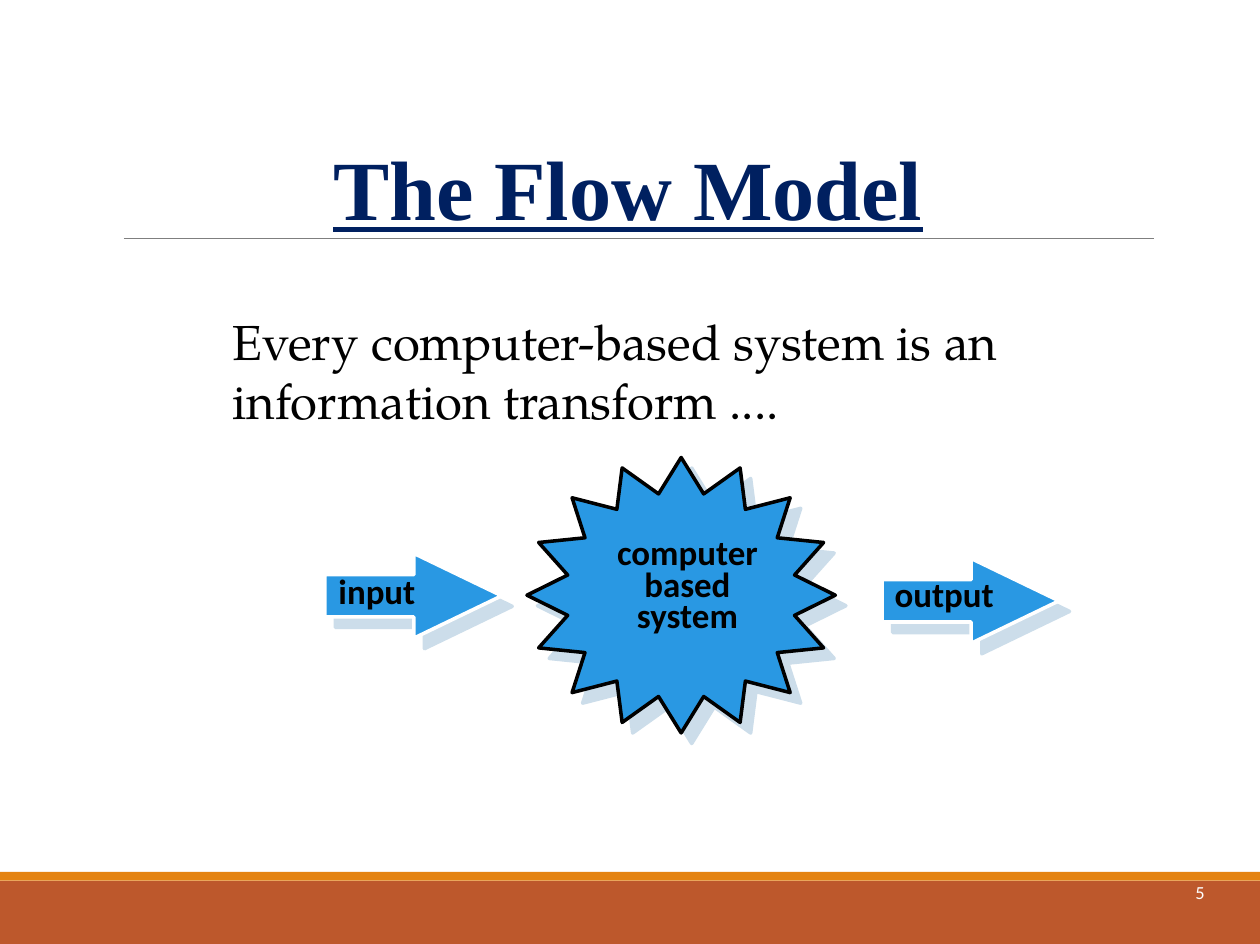
from lxml import etree
from pptx import Presentation
from pptx.dml.color import RGBColor
from pptx.enum.shapes import MSO_CONNECTOR, MSO_SHAPE
from pptx.enum.text import MSO_ANCHOR, MSO_AUTO_SIZE, PP_ALIGN
from pptx.oxml.ns import qn
from pptx.util import Emu, Pt

PX = 9144  # 100 px to the inch
LEFT, CENTER, RIGHT = PP_ALIGN.LEFT, PP_ALIGN.CENTER, PP_ALIGN.RIGHT
TOP, MIDDLE = MSO_ANCHOR.TOP, MSO_ANCHOR.MIDDLE
RECTANGLE = MSO_SHAPE.RECTANGLE
ARROW = MSO_SHAPE.RIGHT_ARROW
STAR = MSO_SHAPE.STAR_16_POINT
STRAIGHT = MSO_CONNECTOR.STRAIGHT
NO_AUTOFIT = MSO_AUTO_SIZE.NONE

BLUE, BLACK, WHITE = "2998E3", "000000", "FFFFFF"
SHADOW = "CCDDEA"
LABEL = {"size": 19.9, "bold": True, "wrap": False}


def px(*lengths):
    return [Emu(length * PX) for length in lengths]


def color(value):
    return RGBColor.from_string(value)


def place(shape, box):
    shape.left, shape.top, shape.width, shape.height = px(*box)


def write(shape, text, size, font="Calibri", fill=BLACK, bold=False,
          underline=False, align=LEFT, anchor=TOP, spacing=1.0, wrap=True):
    """Fill the shape with one formatted paragraph per line of text."""
    frame = shape.text_frame
    frame.text = text
    frame.word_wrap = wrap
    frame.auto_size = NO_AUTOFIT
    frame.vertical_anchor = anchor
    for paragraph in frame.paragraphs:
        paragraph.alignment = align
        paragraph.line_spacing = spacing
        paragraph.space_before = Pt(0)
        paragraph.font.size = Pt(size)
        paragraph.font.name = font
        paragraph.font.bold = bold
        paragraph.font.underline = underline
        paragraph.font.color.rgb = color(fill)


def add_text(slide, box, text, **text_format):
    write(slide.shapes.add_textbox(*px(*box)), text, **text_format)


def remove_bullets(shape):
    for paragraph in shape.text_frame.paragraphs:
        properties = paragraph._p.get_or_add_pPr()
        properties.set("marL", "0")
        properties.set("indent", "0")
        etree.SubElement(properties, qn("a:buNone"))


def add_band(slide, box, fill):
    band = slide.shapes.add_shape(RECTANGLE, *px(*box))
    band.shadow.inherit = False
    band.fill.solid()
    band.fill.fore_color.rgb = color(fill)
    band.line.fill.background()


def add_rule(slide, start, end):
    rule = slide.shapes.add_connector(STRAIGHT, *px(*start, *end))
    rule.line.color.rgb = color("7F7F7F")
    rule.line.width = Pt(0.75)
    etree.SubElement(rule._element.spPr, qn("a:effectLst"))


def add_flow_shape(slide, kind, box, outline, adjustments):
    """Add a blue shape with a hard shadow down and to the right."""
    shape = slide.shapes.add_shape(kind, *px(*box))
    for index, value in enumerate(adjustments):
        shape.adjustments[index] = value
    shape.fill.solid()
    shape.fill.fore_color.rgb = color(BLUE)
    shape.line.color.rgb = color(outline)
    shape.line.width = Pt(2)
    shape.shadow.inherit = False
    effects = shape._element.spPr.find(qn("a:effectLst"))
    shadow = etree.SubElement(effects, qn("a:outerShdw"), dist=str(Pt(8.5)),
                              dir=str(45 * 60000), algn="ctr", rotWithShape="0")
    etree.SubElement(shadow, qn("a:srgbClr"), val=SHADOW)


def main():
    presentation = Presentation()
    presentation.slide_width, presentation.slide_height = px(997, 747)
    slide = presentation.slides.add_slide(presentation.slide_layouts[1])

    add_band(slide, (0, 697, 997, 50), "BD582C")
    add_band(slide, (0, 690, 997, 7), "E48312")
    add_rule(slide, (98, 189), (913, 189))
    add_text(slide, (822, 681, 141, 50), "5", size=10.5, fill=WHITE,
             align=RIGHT, anchor=MIDDLE)

    title, body = slide.placeholders
    place(title, (107, 115, 780, 78))
    write(title, "The Flow Model", size=48, font="Times New Roman", fill="002060",
          bold=True, underline=True, align=CENTER, anchor=MIDDLE, spacing=0.85)
    place(body, (174, 241, 656, 104))
    write(body, "Every computer-based system is an\ninformation transform ....",
          size=28, font="TeX Gyre Pagella")
    remove_bullets(body)

    add_flow_shape(slide, STAR, (417, 362, 244, 218), BLACK, [0.375])
    add_text(slide, (478, 423, 132, 85), "computer\nbased\nsystem",
             align=CENTER, spacing=0.75, **LABEL)

    flows = [
        ("input", (257, 438), (258, 446, 81, 43)),
        ("output", (698, 442), (698, 448, 99, 43)),
    ]
    for name, corner, label_box in flows:
        add_flow_shape(slide, ARROW, (*corner, 140, 67), WHITE, [0.5, 1.036])
        add_text(slide, label_box, name, **LABEL)

    presentation.save("out.pptx")


if __name__ == "__main__":
    main()
